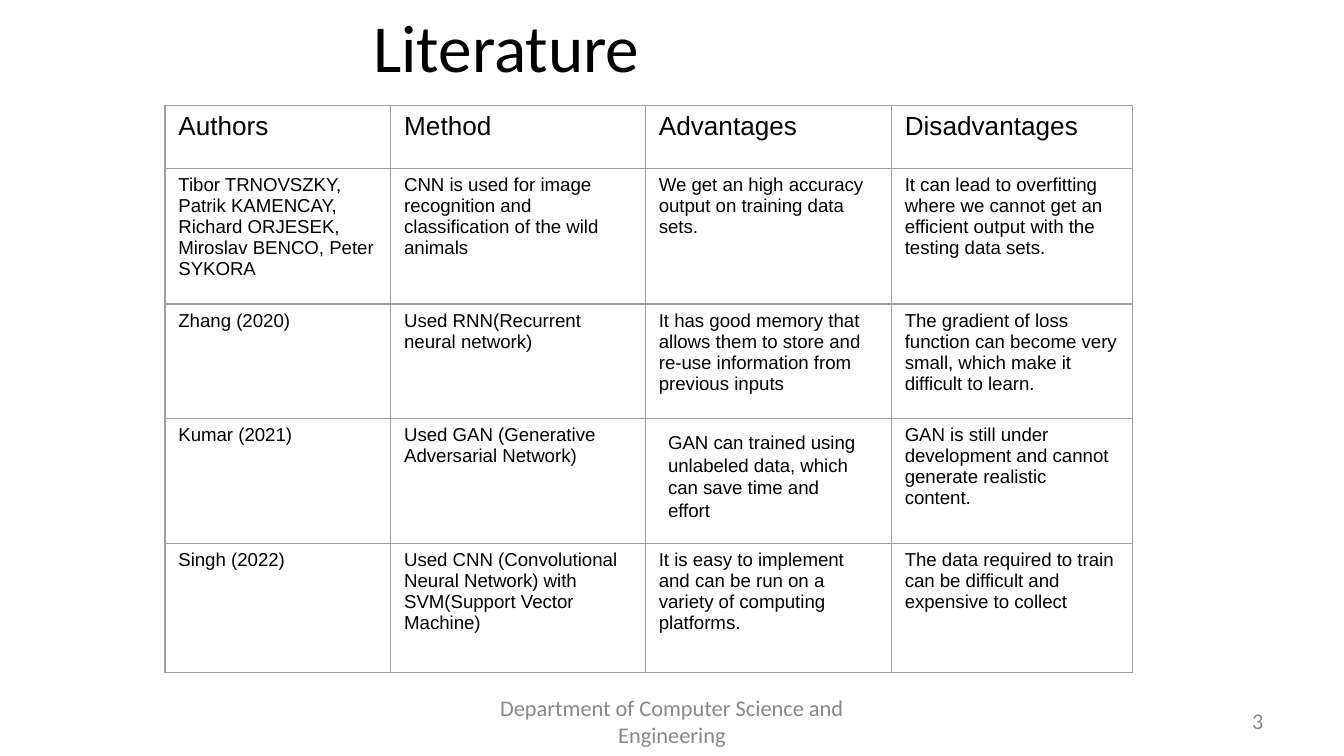
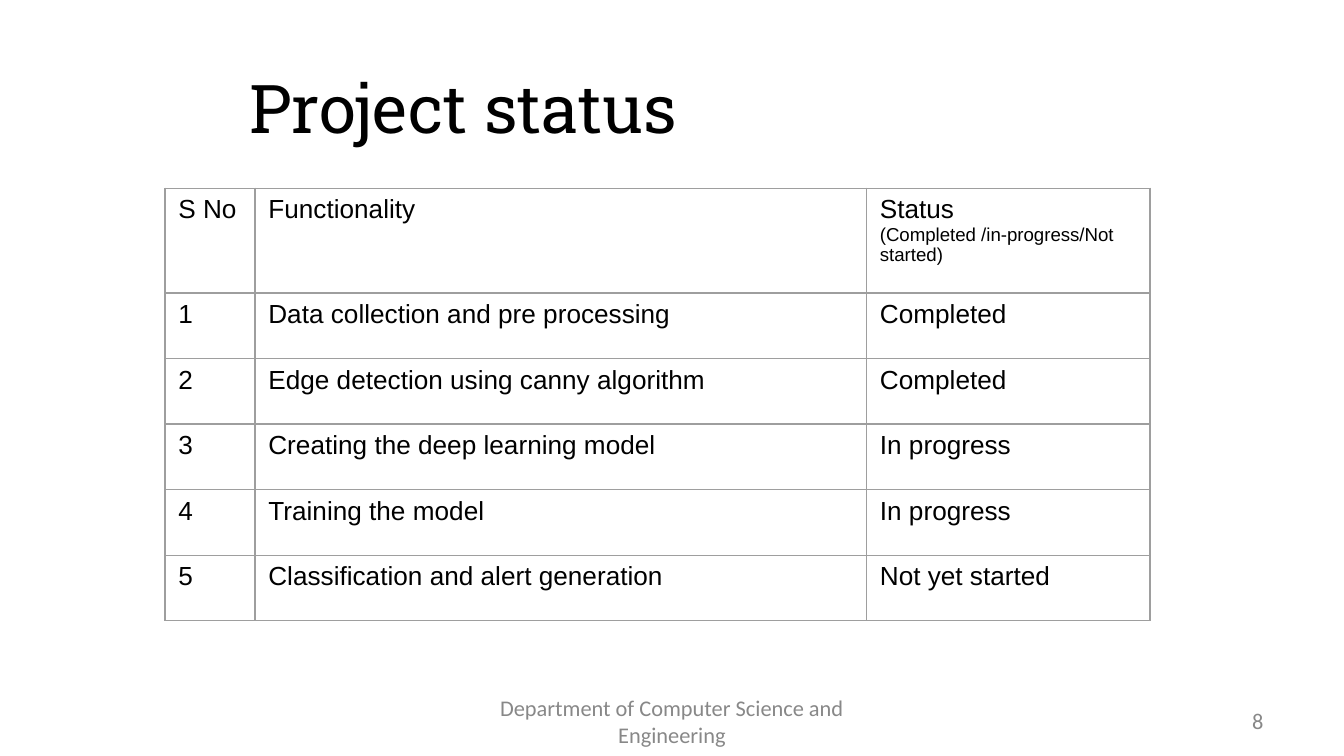
import pptx
import pptx.dml.color
import pptx.enum.text
import pptx.oxml
import pptx.oxml.ns
import pptx.util

BLACK = pptx.dml.color.RGBColor(0x00, 0x00, 0x00)
GRAY = pptx.dml.color.RGBColor(0x88, 0x88, 0x88)
RULE = pptx.dml.color.RGBColor(0x9E, 0x9E, 0x9E)

COLS, ROWS = 100, 56.25
UNIT = pptx.util.Inches(0.1)
LEFT, CENTER, RIGHT = (pptx.enum.text.PP_ALIGN.LEFT, pptx.enum.text.PP_ALIGN.CENTER,
                       pptx.enum.text.PP_ALIGN.RIGHT)
MIDDLE = pptx.enum.text.MSO_ANCHOR.MIDDLE

FOOT = "Department of Computer Science and Engineering"
FOOT_BOX = (34.17, 52.14, 31.67, 3)
PAGE_BOX = (71.67, 52.14, 23.33, 3)
GRID_LEFT = 12.27
HEAD_SIZE, BODY_SIZE = 14, 10

PAPERS = [
    ["Authors", "Method", "Advantages", "Disadvantages"],
    ["Tibor TRNOVSZKY, Patrik KAMENCAY, Richard ORJESEK, Miroslav BENCO, Peter SYKORA ",
     "CNN is used for image recognition and classification of the wild animals ",
     "We get an high accuracy output on training data sets.",
     "It can lead to overfitting where we cannot get an efficient output with the "
     "testing data sets."],
    ["Zhang (2020)",
     "Used RNN(Recurrent neural network)",
     "It has good memory that allows them to store and re-use information from "
     "previous inputs",
     "The gradient of loss function can become very small, which make it difficult "
     "to learn."],
    ["Kumar (2021)",
     "Used GAN (Generative Adversarial Network)",
     "",
     "GAN is still under development and cannot generate realistic  content."],
    ["Singh (2022)",
     "Used CNN (Convolutional Neural Network) with SVM(Support Vector Machine)",
     "It is easy to implement and can be run on a variety of computing platforms.",
     "The data required to train can be difficult and expensive to collect"],
]
GAN_NOTE = "GAN can trained using unlabeled data, which can save time and effort"

TASKS = [
    ("Data collection and pre processing", "Completed"),
    ("Edge detection using canny algorithm", "Completed"),
    ("Creating the deep learning model", "In progress"),
    ("Training the model", "In progress"),
    ("Classification and alert generation", "Not yet started"),
]
STATUS = [["S No", "Functionality", "Status\n(Completed /in-progress/Not started)"]]
STATUS += [[str(num), *task] for num, task in enumerate(TASKS, 1)]


def span(*cells):
    """Turn grid columns or rows into lengths."""
    return [pptx.util.Emu(round(cell * UNIT)) for cell in cells]


def style(para, size, face="Arial", color=BLACK, align=LEFT):
    para.alignment = align
    para.font.size = pptx.util.Pt(size)
    para.font.name = face
    para.font.color.rgb = color


def add_title(slide, box, text, face):
    title = slide.shapes.title
    title.left, title.top, title.width, title.height = span(*box)
    frame = title.text_frame
    frame.text = text
    frame.word_wrap = True
    frame.auto_size = pptx.enum.text.MSO_AUTO_SIZE.NONE
    frame.vertical_anchor = MIDDLE
    style(frame.paragraphs[0], 36, face, align=CENTER)


def add_text(slide, box, text, size, **looks):
    frame = slide.shapes.add_textbox(*span(*box)).text_frame
    frame.word_wrap = True
    frame.text = text
    style(frame.paragraphs[0], size, **looks)
    return frame


def add_footer(slide, page):
    for box, text, align in ((PAGE_BOX, page, RIGHT), (FOOT_BOX, FOOT, CENTER)):
        frame = add_text(slide, box, text, 12, face="Calibri", color=GRAY, align=align)
        frame.vertical_anchor = MIDDLE


def add_rules(cell):
    """Draw a thin line on each side of the cell."""
    props = cell._tc.get_or_add_tcPr()
    for side in "LRTB":
        props.append(pptx.oxml.parse_xml(
            f'<a:ln{side} {pptx.oxml.ns.nsdecls("a")} w="{pptx.util.Pt(0.75)}">'
            f'<a:solidFill><a:srgbClr val="{RULE}"/></a:solidFill></a:ln{side}>'))


def add_grid(slide, top, cols, rows, texts, size):
    """Add a table; first lines in the top row are large, further lines small."""
    box = span(GRID_LEFT, top, sum(cols), sum(rows))
    table = slide.shapes.add_table(len(rows), len(cols), *box).table
    table.first_row = table.horz_banding = False
    for col, width in zip(table.columns, span(*cols)):
        col.width = width
    for row, height, line in zip(table.rows, span(*rows), texts):
        row.height = height
        first = HEAD_SIZE if line is texts[0] else size
        for cell, text in zip(row.cells, line):
            add_rules(cell)
            cell.fill.background()
            cell.text = text
            for num, para in enumerate(cell.text_frame.paragraphs):
                style(para, BODY_SIZE if num else first)


def add_slide(deck, page, box, title, face):
    slide = deck.slides.add_slide(deck.slide_layouts[5])
    add_title(slide, box, title, face)
    add_footer(slide, page)
    return slide


def add_papers(deck):
    slide = add_slide(deck, "3", (4.8, 0, 66.9, 6.85), "Literature ", "Calibri")
    add_grid(slide, 7.83, (16.8, 18.95, 18.3, 17.95), (4.7, 10.1, 8.5, 9.3, 9.6),
             PAPERS, BODY_SIZE)
    note = add_text(slide, (48.73, 31.6, 16.3, 7.7), GAN_NOTE, BODY_SIZE)
    note.auto_size = pptx.enum.text.MSO_AUTO_SIZE.SHAPE_TO_FIT_TEXT


def add_status(deck):
    slide = add_slide(deck, "8", (1.03, 4.45, 66.9, 6.9), "Project status", "Roboto Slab")
    add_grid(slide, 14, (6.7, 45.5, 21.1), [7.8] + [4.88] * len(TASKS),
             STATUS, HEAD_SIZE)


def main():
    deck = pptx.Presentation()
    deck.slide_width, deck.slide_height = span(COLS, ROWS)
    add_papers(deck)
    add_status(deck)
    deck.save("out.pptx")


if __name__ == "__main__":
    main()
